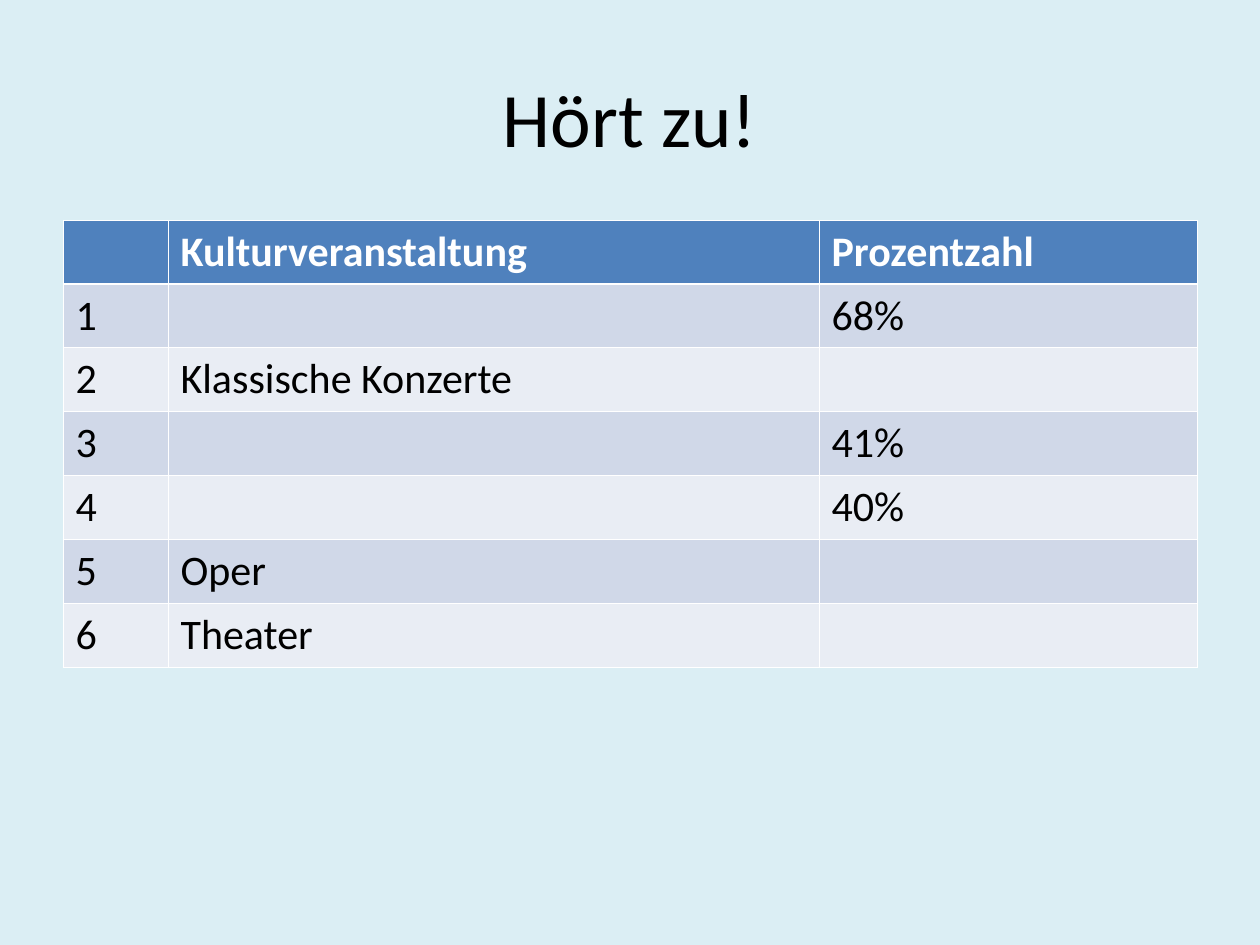
"""Build the listening exercise slide with its table of cultural events."""
from lxml.etree import SubElement
from pptx import Presentation
from pptx.dml.color import RGBColor as RGB
from pptx.enum.text import MSO_ANCHOR as ANCHOR, PP_ALIGN as ALIGN
from pptx.oxml.ns import qn
from pptx.util import Emu, Pt

THEME = {
    "font": "Calibri", "title_size": 44, "table_size": 24,
    "background": "DBEEF4", "text": "000000", "header_text": "FFFFFF",
    "header": "4F81BD", "bands": ("D0D8E8", "E9EDF4"),
    "rule": "FFFFFF", "thin": 0.45, "thick": 1.47,
}
EMU_PER_PX = 914400 / 126
EVENTS = [
    ("", "Kulturveranstaltung", "Prozentzahl"),
    ("1", "", "68%"),
    ("2", "Klassische Konzerte", ""),
    ("3", "", "41%"),
    ("4", "", "40%"),
    ("5", "Oper", ""),
    ("6", "Theater", ""),
]
COLUMN_WIDTHS = (105, 651, 378)
ROW_HEIGHT = 63


def px(length):
    return Emu(round(length * EMU_PER_PX))


def write(paragraph, text, size, color, bold=False):
    run = paragraph.add_run()
    run.text = text
    for key, value in {"name": THEME["font"], "size": Pt(size), "bold": bold}.items():
        setattr(run.font, key, value)
    run.font.color.rgb = RGB.from_string(color)


deck = Presentation()
deck.slide_width, deck.slide_height = px(1260), px(945)
slide = deck.slides.add_slide(deck.slide_layouts[5])
slide.background.fill.solid()
slide.background.fill.fore_color.rgb = RGB.from_string(THEME["background"])

heading = slide.shapes.title
for key, value in {"left": 63, "top": 38, "width": 1134, "height": 158}.items():
    setattr(heading, key, px(value))
heading.text_frame.vertical_anchor = ANCHOR.MIDDLE
heading_line = heading.text_frame.paragraphs[0]
heading_line.alignment = ALIGN.CENTER
write(heading_line, "Hört zu!", THEME["title_size"], THEME["text"])

event_table = slide.shapes.add_table(
    len(EVENTS), len(COLUMN_WIDTHS), px(63), px(220),
    px(sum(COLUMN_WIDTHS)), px(ROW_HEIGHT * len(EVENTS))).table
for column, width in zip(event_table.columns, COLUMN_WIDTHS):
    column.width = px(width)

for row, event in enumerate(EVENTS):
    event_table.rows[row].height = px(ROW_HEIGHT)
    is_header = row == 0
    fill = THEME["header"] if is_header else THEME["bands"][(row - 1) % 2]
    color = THEME["header_text"] if is_header else THEME["text"]
    rules = {
        "a:lnL": THEME["thin"], "a:lnR": THEME["thin"],
        "a:lnT": THEME["thick"] if row == 1 else THEME["thin"],
        "a:lnB": THEME["thick"] if is_header else THEME["thin"],
    }
    for col, entry in enumerate(event):
        cell = event_table.cell(row, col)
        properties = cell._tc.get_or_add_tcPr()
        for tag, width in rules.items():
            rule = SubElement(properties, qn(tag), w=str(Pt(width)))
            rule_fill = SubElement(rule, qn("a:solidFill"))
            SubElement(rule_fill, qn("a:srgbClr"), val=THEME["rule"])
        cell.fill.solid()
        cell.fill.fore_color.rgb = RGB.from_string(fill)
        if entry:
            write(cell.text_frame.paragraphs[0], entry, THEME["table_size"], color, is_header)

deck.save("out.pptx")
